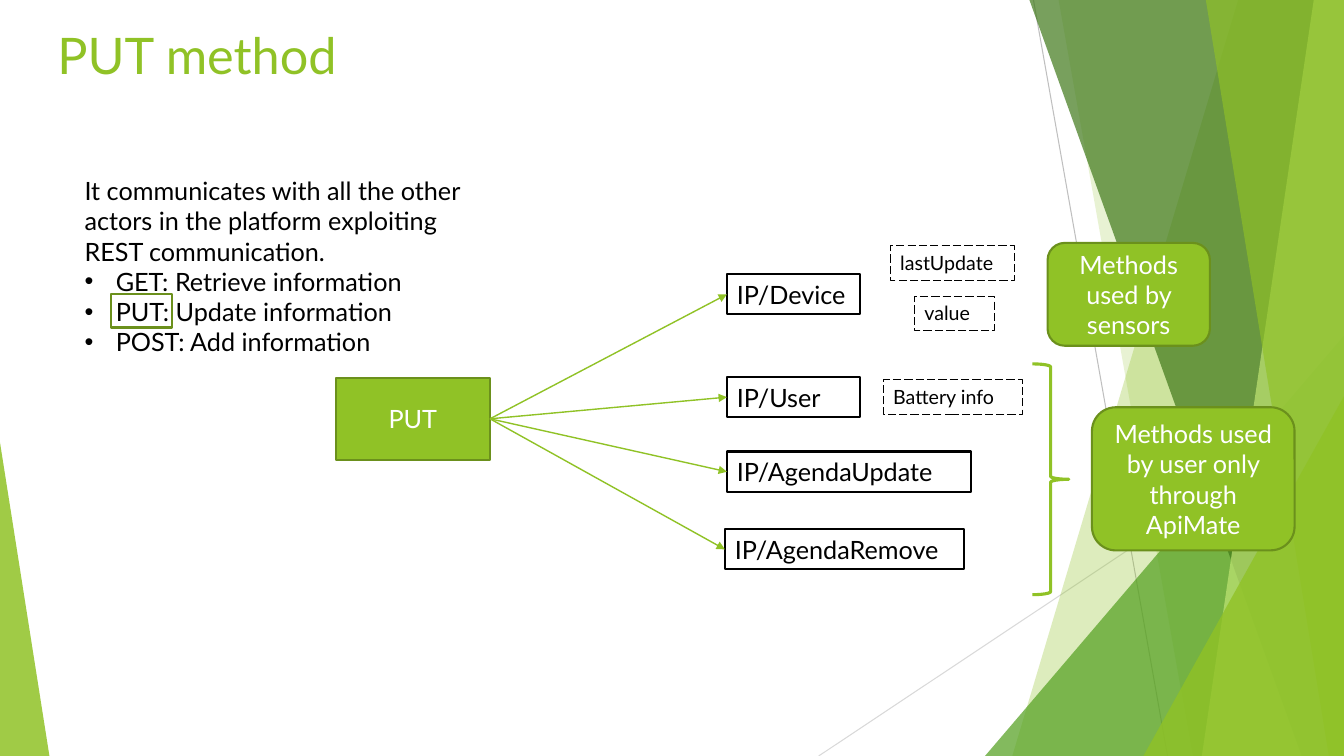
from pptx import Presentation, util as u
from pptx.dml import color
from pptx.enum import dml, shapes, text
from lxml import etree

deck = Presentation()
deck.slide_width, deck.slide_height = u.Inches(13.33), u.Inches(7.5)
slide = deck.slides.add_slide(deck.slide_layouts[6])
items = slide.shapes
kind = shapes.MSO_SHAPE
NS = "{http://schemas.openxmlformats.org/drawingml/2006/main}"
GREEN, EDGE, BLACK, WHITE = "90C226", "6B901C", "000000", "FFFFFF"
LEFT, MID = text.PP_ALIGN.LEFT, text.PP_ALIGN.CENTER


def paint(fill, tone, alpha=100):
    if tone is None:
        fill.background()
        return
    fill.solid()
    fill.fore_color.rgb = color.RGBColor.from_string(tone)
    if alpha < 100:
        node = fill._xPr.find(f"{NS}solidFill")[0]
        etree.SubElement(node, f"{NS}alpha", val=str(alpha * 1000))


def box(form, area, fill=None, edge=None, width=1.5, words=(), size=18, tone=BLACK, align=LEFT):
    part = items.add_shape(form, *map(u.Inches, area))
    part.shadow.inherit = False
    paint(part.fill, fill)
    paint(part.line.fill, edge)
    if edge:
        part.line.width = u.Pt(width)
    frame = part.text_frame
    anchor = text.MSO_ANCHOR.MIDDLE if align == MID else text.MSO_ANCHOR.TOP
    for key, val in {"word_wrap": True, "vertical_anchor": anchor}.items():
        setattr(frame, key, val)
    for i, line in enumerate(words):
        para = frame.add_paragraph() if i else frame.paragraphs[0]
        para.alignment = align
        run = para.add_run()
        run.text = line
        for key, val in {"name": "Lato", "size": u.Pt(size)}.items():
            setattr(run.font, key, val)
        paint(run.font.fill, tone)
    return part


rays = [(10.25, 0, 11.58, 7.5, "BFBFBF"), (13.33, 4.03, 8.12, 7.5, "D9D9D9")]
for *ends, tone in rays:
    ray = items.add_connector(shapes.MSO_CONNECTOR.STRAIGHT, *map(u.Inches, ends))
    paint(ray.line.fill, tone)
    ray.line.width = u.Pt(0.75)
    etree.SubElement(ray._element.spPr, f"{NS}effectLst")

facets = [
    (12.28, 10.04, GREEN, 30),
    (10.5, 11.83, GREEN, 20),
    (9.77, 3.33, 3.56, 4.17, 1, "54A021", 72),
    (10.21, 12.91, "3F7819", 70),
    (13.03, 11.92, "C0E474", 70),
    (11.96, 13.18, GREEN, 65),
    (11.34, 3.93, 1.99, 3.57, 1, GREEN, 80),
    (0, 4.39, 0.49, 3.11, 0, GREEN, 85),
]
for *dims, tone, alpha in facets:
    if len(dims) == 2:
        top, base = dims
        pen = items.build_freeform(u.Inches(top), 0)
        spots = [(13.33, 0), (13.33, 7.5), (base, 7.5)]
        pen.add_line_segments([(u.Inches(x), u.Inches(y)) for x, y in spots])
        facet = pen.convert_to_shape()
        facet.shadow.inherit = False
        paint(facet.line.fill, None)
    else:
        *area, peak = dims
        facet = box(kind.ISOSCELES_TRIANGLE, area)
        facet.adjustments[0] = peak
    paint(facet.fill, tone, alpha)

title = ["PUT method"]
box(kind.RECTANGLE, (0.47, 0.19, 4.75, 1.44), words=title, size=36, tone=GREEN)

verbs = [
    "It communicates with all the other actors in the platform exploiting REST communication.",
    "GET: Retrieve information",
    "PUT: Update information",
    "POST: Add information",
]
intro = box(kind.RECTANGLE, (0.74, 1.69, 4.21, 1.92), words=verbs)
for para in intro.text_frame.paragraphs[1:]:
    props = para._p.get_or_add_pPr()
    for key, val in {"marL": 0.31, "indent": -0.31}.items():
        props.set(key, str(u.Inches(val)))
    etree.SubElement(props, f"{NS}buFont", typeface="Arial")
    etree.SubElement(props, f"{NS}buChar", char="•")
box(kind.RECTANGLE, (1.1, 2.92, 0.61, 0.33), edge=EDGE)

put = box(kind.RECTANGLE, (3.33, 3.75, 1.53, 0.81), GREEN, EDGE,
          words=["PUT"], tone=WHITE, align=MID)

routes = [
    ("IP/Device", 7.21, 2.72, 1.32),
    ("IP/User", 7.21, 3.74, 1.32),
    ("IP/AgendaUpdate", 7.21, 4.48, 2.42),
    ("IP/AgendaRemove", 7.19, 5.25, 2.37),
]
for name, x, y, w in routes:
    route = box(kind.RECTANGLE, (x, y, w, 0.4), edge=BLACK, words=[name])
    arrow = items.add_connector(shapes.MSO_CONNECTOR.STRAIGHT, 0, 0, 0, 0)
    arrow.begin_connect(put, 3)
    arrow.end_connect(route, 1)
    paint(arrow.line.fill, GREEN)
    arrow.line.width = u.Pt(1)
    etree.SubElement(arrow.line._get_or_add_ln(), f"{NS}tailEnd", type="triangle")
    etree.SubElement(arrow._element.spPr, f"{NS}effectLst")

fields = [
    ("lastUpdate", 8.83, 2.44, 1.23),
    ("value", 9.07, 2.94, 0.79),
    ("Battery info", 8.76, 3.77, 1.38),
]
for name, x, y, w in fields:
    field = box(kind.RECTANGLE, (x, y, w, 0.34), edge=BLACK, width=0.75, words=[name], size=14)
    field.line.dash_style = dml.MSO_LINE.LONG_DASH

box(kind.RIGHT_BRACE, (10.24, 3.61, 0.36, 2.29), edge=GREEN, width=2.25)

notes = [
    ("Methods used by sensors", (10.39, 2.41, 1.61, 1.02)),
    ("Methods used by user only through ApiMate", (10.83, 4.04, 2.01, 1.42)),
]
for note, area in notes:
    box(kind.ROUNDED_RECTANGLE, area, GREEN, EDGE, words=[note], tone=WHITE, align=MID)

deck.save("out.pptx")
